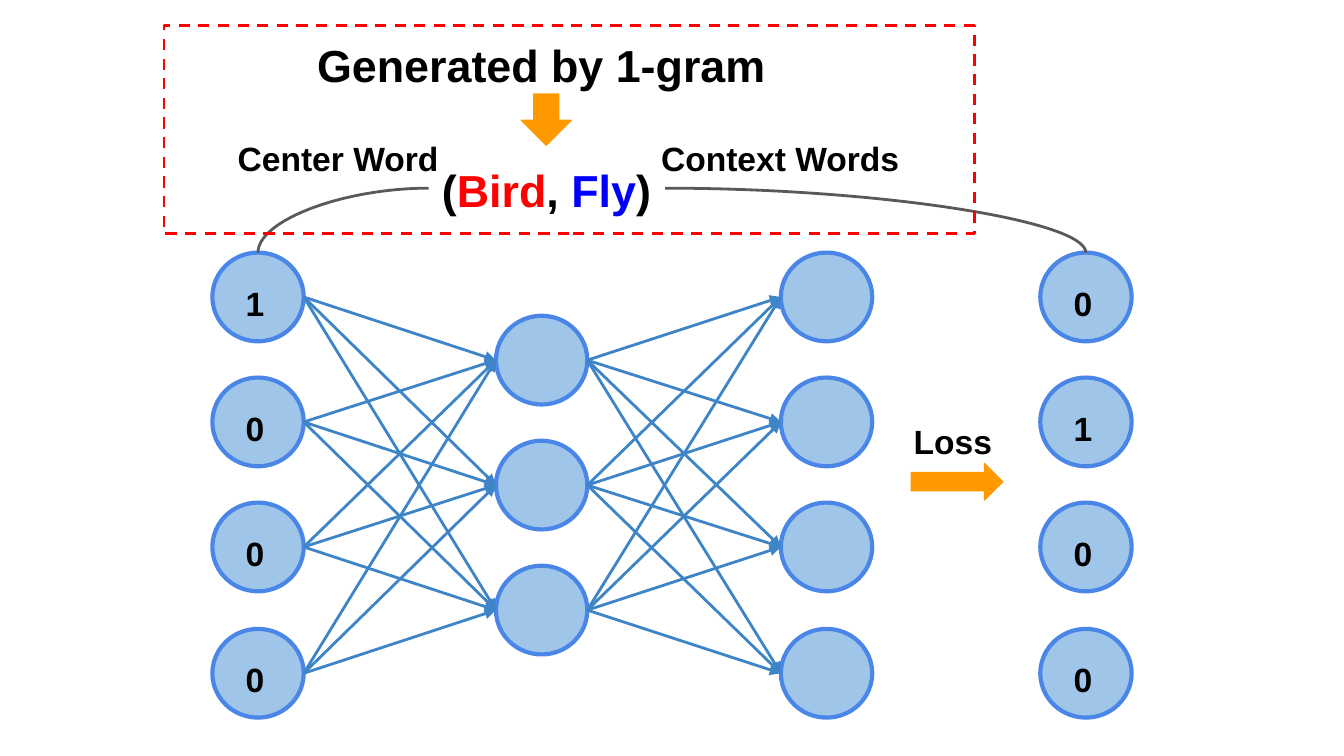
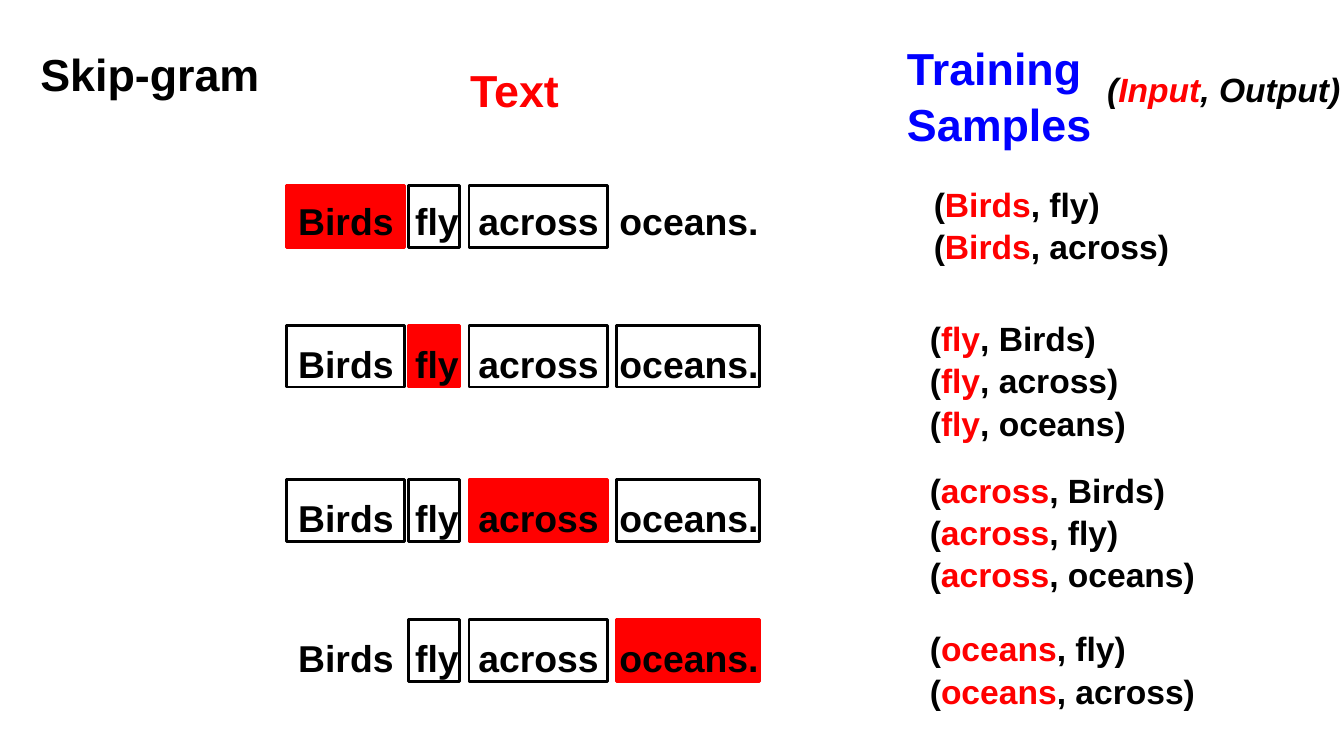
"""Build two slides that explain the skip-gram network and its training samples."""
from dataclasses import dataclass

from lxml import etree
from pptx import Presentation
from pptx.dml.color import RGBColor
from pptx.enum.dml import MSO_LINE
from pptx.enum.shapes import MSO_CONNECTOR, MSO_SHAPE
from pptx.enum.text import MSO_ANCHOR, MSO_AUTO_SIZE, PP_ALIGN
from pptx.oxml.ns import qn
from pptx.util import Inches, Pt

PX = 9144
FONT = "Arial"
TITLE_ONLY = 5
COLORS = {
    "black": "000000",
    "red": "FF0000",
    "blue": "0000FF",
    "node": "9FC5E8",
    "node_edge": "4A86E8",
    "link": "3D85C6",
    "curve": "595959",
    "arrow": "FF9900",
}

OVAL, RECT = MSO_SHAPE.OVAL, MSO_SHAPE.RECTANGLE
DOWN_ARROW, RIGHT_ARROW = MSO_SHAPE.DOWN_ARROW, MSO_SHAPE.RIGHT_ARROW
STRAIGHT, CURVE = MSO_CONNECTOR.STRAIGHT, MSO_CONNECTOR.CURVE
DASH = MSO_LINE.DASH
TOP, LEFT, NO_FIT = MSO_ANCHOR.TOP, PP_ALIGN.LEFT, MSO_AUTO_SIZE.NONE

Run = tuple[str, str]
Paragraph = list[Run]


@dataclass(frozen=True)
class Box:
    x: int
    y: int
    w: int
    h: int


@dataclass(frozen=True)
class Layer:
    x: int
    y: int
    count: int
    digits: str = ""

    def nodes(self) -> list[Box]:
        return [Box(self.x, self.y + 280 * i // 3, NODE_W, NODE_H) for i in range(self.count)]


@dataclass(frozen=True)
class Label:
    box: Box
    paragraphs: list[Paragraph]
    size: int = 18
    italic: bool = False


@dataclass(frozen=True)
class Sentence:
    y: int
    text_y: int
    samples: Box


NODE_W, NODE_H = 68, 66
INPUT = Layer(158, 188, 4, "1000")
HIDDEN = Layer(369, 235, 3)
OUTPUT = Layer(581, 188, 4)
TARGET = Layer(774, 188, 4, "0100")

NETWORK_LABELS = [
    Label(Box(319, 109, 177, 62),
          [[("(", "black"), ("Bird", "red"), (", ", "black"), ("Fly", "blue"), (")", "black")]], 24),
    Label(Box(167, 91, 177, 38), [[("Center Word", "black")]]),
    Label(Box(482, 91, 198, 38), [[("Context Words", "black")]]),
    Label(Box(670, 302, 84, 38), [[("Loss", "black")]]),
]
SAMPLE_LABELS = [
    Label(Box(340, 35, 94, 58), [[("Text", "red")]], 24),
    Label(Box(665, 18, 158, 63), [[("Training", "blue")], [("Samples", "blue")]], 24),
    Label(Box(814, 40, 204, 58),
          [[("(", "black"), ("Input", "red"), (", Output)", "black")]], italic=True),
]

WORDS = ["Birds", "fly", "across", "oceans"]
WORD_SPANS = [(213, 88), (304, 38), (349, 103), (459, 106)]
WORD_TABS = [87, 134, 239]
WINDOW = 2
SENTENCES = [
    Sentence(138, 136, Box(685, 125, 204, 79)),
    Sentence(242, 242, Box(682, 225, 209, 79)),
    Sentence(357, 357, Box(682, 338, 247, 85)),
    Sentence(461, 461, Box(682, 456, 231, 79)),
]


def color(name: str) -> RGBColor:
    return RGBColor.from_string(COLORS[name])


def place(box: Box) -> tuple[int, int, int, int]:
    return box.x * PX, box.y * PX, box.w * PX, box.h * PX


def write(tf, label: Label, spacing: float) -> None:
    tf.word_wrap = True
    tf.auto_size = NO_FIT
    tf.vertical_anchor = TOP
    tf.margin_left = tf.margin_right = tf.margin_top = tf.margin_bottom = 10 * PX
    for i, runs in enumerate(label.paragraphs):
        p = tf.add_paragraph() if i else tf.paragraphs[0]
        p.alignment = LEFT
        p.line_spacing = spacing
        p.font.name = FONT
        p.font.size = Pt(label.size)
        p.font.bold = True
        p.font.italic = label.italic
        for text, name in runs:
            r = p.add_run()
            r.text = text
            r.font.color.rgb = color(name)


def add_label(s, label: Label):
    tf = s.shapes.add_textbox(*place(label.box)).text_frame
    write(tf, label, 1.05)
    return tf


def add_title(s, box: Box, text: str) -> None:
    sp = s.shapes.title
    sp.left, sp.top, sp.width, sp.height = place(box)
    write(sp.text_frame, Label(box, [[(text, "black")]], 24), 1.0)


def add_shape(s, kind, box: Box, fill: str | None, line: str, width: float):
    sp = s.shapes.add_shape(kind, *place(box))
    sp.shadow.inherit = False
    if fill:
        sp.fill.solid()
        sp.fill.fore_color.rgb = color(fill)
    else:
        sp.fill.background()
    sp.line.color.rgb = color(line)
    sp.line.width = Pt(width)
    return sp


def add_line(s, kind, start: tuple[int, int], end: tuple[int, int], line: str):
    c = s.shapes.add_connector(kind, *(v * PX for v in (*start, *end)))
    c.line.color.rgb = color(line)
    c.line.width = Pt(1.5)
    etree.SubElement(c._element.spPr, qn("a:effectLst"))
    return c


def add_link(s, source: Box, target: Box) -> None:
    start = (source.x + source.w, source.y + source.h // 2)
    end = (target.x, target.y + target.h // 2)
    c = add_line(s, STRAIGHT, start, end, "link")
    etree.SubElement(c.line._get_or_add_ln(), qn("a:tailEnd"), type="triangle")


def add_curve(s, start: tuple[int, int], target: Box) -> None:
    c = add_line(s, CURVE, start, (target.x + target.w // 2, target.y), "curve")
    c._element.spPr.find(qn("a:prstGeom")).set("prst", "curvedConnector2")


def add_layer(s, layer: Layer) -> None:
    for node in layer.nodes():
        add_shape(s, OVAL, node, "node", "node_edge", 2.25)
    for node, digit in zip(layer.nodes(), layer.digits):
        add_label(s, Label(Box(node.x + 15, node.y + 11, 37, 43), [[(digit, "black")]]))


def add_tabs(tf) -> None:
    p_pr = tf.paragraphs[0]._p.get_or_add_pPr()
    tabs = etree.Element(qn("a:tabLst"))
    for x in WORD_TABS:
        etree.SubElement(tabs, qn("a:tab"), pos=str(x * PX), algn="l")
    p_pr.find(qn("a:defRPr")).addprevious(tabs)


def add_sentence(s, center: int, row: Sentence) -> None:
    context = [i for i in range(len(WORDS)) if 0 < abs(i - center) <= WINDOW]
    for i in [center, *context]:
        x, w = WORD_SPANS[i]
        fill, line = ("red", "red") if i == center else (None, "black")
        add_shape(s, RECT, Box(x, row.y, w, 46), fill, line, 1.5)
    text = "\t".join(WORDS) + "."
    add_tabs(add_label(s, Label(Box(212, row.text_y, 368, 58), [[(text, "black")]], 20)))
    pairs = [[("(", "black"), (WORDS[center], "red"), (f", {WORDS[i]})", "black")] for i in context]
    add_label(s, Label(row.samples, pairs))


def build_network(prs) -> None:
    s = prs.slides.add_slide(prs.slide_layouts[TITLE_ONLY])
    add_title(s, Box(226, 18, 361, 52), "Generated by 1-gram")
    for layer in (INPUT, OUTPUT, HIDDEN, TARGET):
        add_layer(s, layer)
    for sources, targets in ((INPUT, HIDDEN), (HIDDEN, OUTPUT)):
        for source in sources.nodes():
            for target in targets.nodes():
                add_link(s, source, target)
    add_curve(s, (319, 140), INPUT.nodes()[0])
    add_curve(s, (495, 140), TARGET.nodes()[0])
    for label in NETWORK_LABELS:
        add_label(s, label)
    add_shape(s, DOWN_ARROW, Box(388, 70, 37, 38), "arrow", "arrow", 0.75)
    add_shape(s, RIGHT_ARROW, Box(678, 345, 68, 27), "arrow", "arrow", 0.75)
    frame = add_shape(s, RECT, Box(122, 19, 603, 155), None, "red", 1.5)
    frame.line.dash_style = DASH


def build_samples(prs) -> None:
    s = prs.slides.add_slide(prs.slide_layouts[TITLE_ONLY])
    add_title(s, Box(20, 25, 184, 58), "Skip-gram")
    for label in SAMPLE_LABELS:
        add_label(s, label)
    for center, row in enumerate(SENTENCES):
        add_sentence(s, center, row)


def main() -> None:
    prs = Presentation()
    prs.slide_width, prs.slide_height = Inches(10), Inches(5.625)
    build_network(prs)
    build_samples(prs)
    prs.save("out.pptx")


if __name__ == "__main__":
    main()
